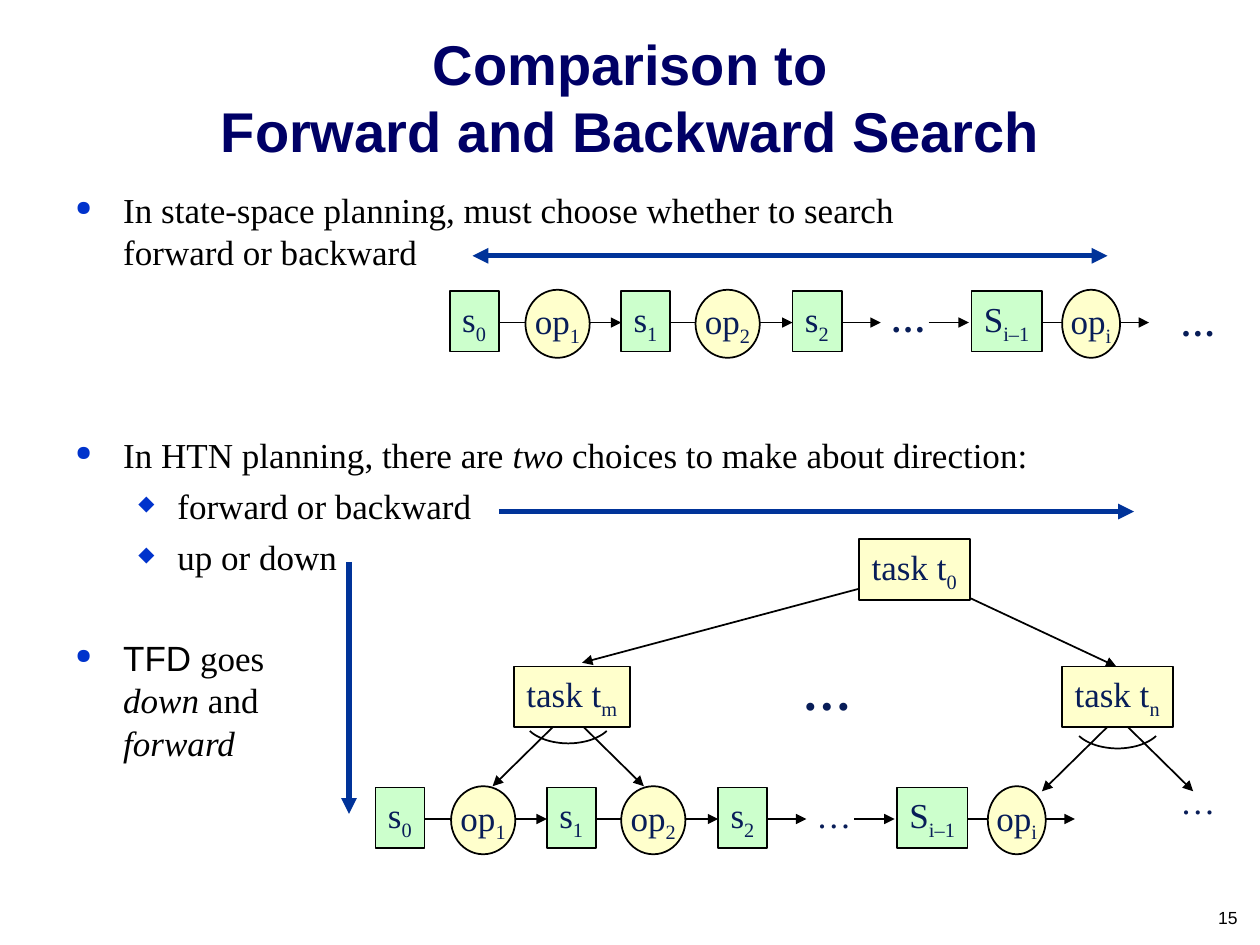
import math
from lxml import etree
from pptx import Presentation
from pptx import util as u
from pptx.dml.color import RGBColor
from pptx.enum import shapes, text
from pptx.oxml.ns import qn

SERIF, SANS = "Times New Roman", "Arial"
BLACK, INK, TITLE = "000000", "081D58", "000066"
GREEN, CREAM, BLUE, DOT = "CCFFCC", "FFFFCC", "003399", "0033CC"
RECT, OVAL = shapes.MSO_SHAPE.RECTANGLE, shapes.MSO_SHAPE.OVAL
LEFT, MID, RIGHT = text.PP_ALIGN.LEFT, text.PP_ALIGN.CENTER, text.PP_ALIGN.RIGHT


def color(code):
    return RGBColor.from_string(code)


def style(font, size, name, code, bold=False):
    font.size, font.name, font.bold = u.Pt(size), name, bold
    font.color.rgb = color(code)


def add_runs(para, *parts):
    """Each part is a string or (string, style); a newline is a line break."""
    for part in parts:
        words, kind = (part, "") if isinstance(part, str) else part
        for i, line in enumerate(words.split("\n")):
            if i:
                para.add_line_break()
            if not line:
                continue
            run = para.add_run()
            run.text = line
            if kind == "italic":
                run.font.italic = True
            elif kind == "sub":
                run.font._element.set("baseline", "-25000")
            elif kind == "sans":
                run.font.name = SANS


def text_box(slide, x, y, w, h, words, size, name=SERIF, code=INK,
             bold=False, align=LEFT, anchor=text.MSO_ANCHOR.TOP, wrap=True):
    frame = slide.shapes.add_textbox(*map(u.Inches, (x, y, w, h))).text_frame
    frame.word_wrap, frame.vertical_anchor = wrap, anchor
    para = frame.paragraphs[0]
    para.alignment = align
    style(para.font, size, name, code, bold)
    add_runs(para, words)


def dots(slide, x, y, size=20, bold=True):
    w, h = (0.59, 0.57) if size > 20 else (0.48, 0.44)
    text_box(slide, x, y, w, h, "…", size, bold=bold, wrap=False)


def node(slide, kind, x, y, w, h, fill, name, sub):
    shape = slide.shapes.add_shape(kind, *map(u.Inches, (x, y, w, h)))
    shape.shadow.inherit = False
    shape.fill.solid()
    shape.fill.fore_color.rgb = color(fill)
    shape.line.color.rgb = color(BLACK)
    shape.line.width = u.Pt(1)
    frame = shape.text_frame
    frame.word_wrap = False
    frame.auto_size = text.MSO_AUTO_SIZE.SHAPE_TO_FIT_TEXT
    frame.vertical_anchor = text.MSO_ANCHOR.TOP
    frame.margin_right = u.Inches(0.07)
    if kind == OVAL:
        frame.margin_left = frame.margin_right = 0
        frame.margin_top = frame.margin_bottom = 0
    para = frame.paragraphs[0]
    para.alignment = LEFT
    style(para.font, 20, SERIF, INK)
    add_runs(para, name, (sub, "sub"))


def arrow(slide, x1, y1, x2, y2, code=BLACK, width=1, both=False):
    line = slide.shapes.add_connector(
        shapes.MSO_CONNECTOR.STRAIGHT, *map(u.Inches, (x1, y1, x2, y2)))
    line.line.color.rgb = color(code)
    line.line.width = u.Pt(width)
    ends = ("headEnd", "tailEnd") if both else ("tailEnd",)
    for end in ends:
        etree.SubElement(line.line._get_or_add_ln(), qn("a:" + end), type="triangle")
    etree.SubElement(line._element.spPr, qn("a:effectLst"))


def arc(slide, x, y):
    """Shallow curve under a task, centred on x, y."""
    turns = [math.radians(32 + 116 * i / 24) for i in range(25)]
    pts = [(u.Inches(x + 0.36 * math.cos(t)), u.Inches(y + 0.21 * math.sin(t)))
           for t in turns]
    build = slide.shapes.build_freeform(*pts[0])
    build.add_line_segments(pts[1:], close=False)
    shape = build.convert_to_shape()
    shape.shadow.inherit = False
    shape.fill.background()
    shape.line.color.rgb = color(BLACK)
    shape.line.width = u.Pt(1)


def chain(slide, x, y, bold):
    """Row of states and operators."""
    for a, b in ((0.38, 1.36), (1.74, 2.72), (3.11, 3.42), (3.8, 4.12), (4.58, 5.55)):
        arrow(slide, x + a, y + 0.25, x + b, y + 0.25)
    for i in range(3):
        node(slide, RECT, x + 1.36 * i, y, 0.39, 0.48, GREEN, "s", str(i))
    node(slide, RECT, x + 4.14, y, 0.56, 0.48, GREEN, "S", "i–1")
    for dx, w, sub in ((0.6, 0.51, "1"), (1.95, 0.51, "2"), (4.86, 0.46, "i")):
        node(slide, OVAL, x + dx, y - 0.01, w, 0.54, CREAM, "op", sub)
    dots(slide, x + 3.4, y, bold=bold)


def branch(slide, x, y):
    """Two arrows down from a task, joined by an arc."""
    for dx in (-0.6, 0.6):
        arrow(slide, x, y, x + dx, y + 0.59)
    arc(slide, x, y + 0.04)


def bullet(para, level, gap, *parts):
    mark, left, hang = (("●", 0.38, 0.38), ("◆", 0.81, 0.31))[level]
    para.level, para.space_before = level, u.Pt(gap)
    props = para._p.get_or_add_pPr()
    props.set("marL", str(u.Inches(left)))
    props.set("indent", str(-u.Inches(hang)))
    tint = etree.SubElement(props, qn("a:buClr"))
    etree.SubElement(tint, qn("a:srgbClr"), val=DOT)
    etree.SubElement(props, qn("a:buSzPct"), val="60000")
    etree.SubElement(props, qn("a:buChar"), char=mark)
    style(para.font, 20, SERIF, BLACK)
    add_runs(para, *parts)


def body(slide):
    items = (
        (0, 0, "In state-space planning, must choose whether to search\n"
               "forward or backward"),
        (0, 92, "In HTN planning, there are ", ("two", "italic"),
         " choices to make about direction:"),
        (1, 5, "forward or backward"),
        (1, 5, "up or down"),
        (0, 34, ("TFD", "sans"), " goes\n", ("down ", "italic"), "and\n",
         ("forward", "italic")),
    )
    frame = slide.shapes.add_textbox(*map(u.Inches, (0.5, 1.45, 9, 5.85))).text_frame
    frame.word_wrap = True
    for i, item in enumerate(items):
        bullet(frame.add_paragraph() if i else frame.paragraphs[0], *item)


def main():
    deck = Presentation()
    deck.slide_width, deck.slide_height = u.Inches(10), u.Inches(7.5)
    slide = deck.slides.add_slide(deck.slide_layouts[6])

    # Title, body and page number
    text_box(slide, 0.17, 0.24, 9.67, 1.11, "Comparison to\nForward and Backward Search",
             32, SANS, TITLE, True, MID, text.MSO_ANCHOR.BOTTOM)
    body(slide)
    text_box(slide, 9.4, 7.15, 0.52, 0.26, "15", 10, SANS, BLACK, align=RIGHT)

    # State-space plan
    chain(slide, 3.57, 2.31, True)
    dots(slide, 9.27, 2.34)

    # Task tree
    branch(slide, 4.51, 5.65)
    branch(slide, 8.87, 5.69)
    arrow(slide, 7.24, 4.56, 4.62, 5.26)
    arrow(slide, 7.3, 4.56, 8.86, 5.29)
    for x, y, w, sub in ((6.82, 4.28, 0.88, "0"), (4.08, 5.29, 0.92, "m"),
                         (8.43, 5.29, 0.88, "n")):
        node(slide, RECT, x, y, w, 0.48, CREAM, "task t", sub)
    dots(slide, 6.27, 5.2, 28)
    chain(slide, 2.98, 6.25, False)
    dots(slide, 9.27, 6.14, bold=False)

    # Search directions
    arrow(slide, 3.75, 2.03, 8.79, 2.03, BLUE, 3, both=True)
    arrow(slide, 3.96, 4.06, 9, 4.06, BLUE, 3)
    arrow(slide, 2.77, 4.46, 2.77, 6.46, BLUE, 3)

    deck.save("out.pptx")


if __name__ == "__main__":
    main()
